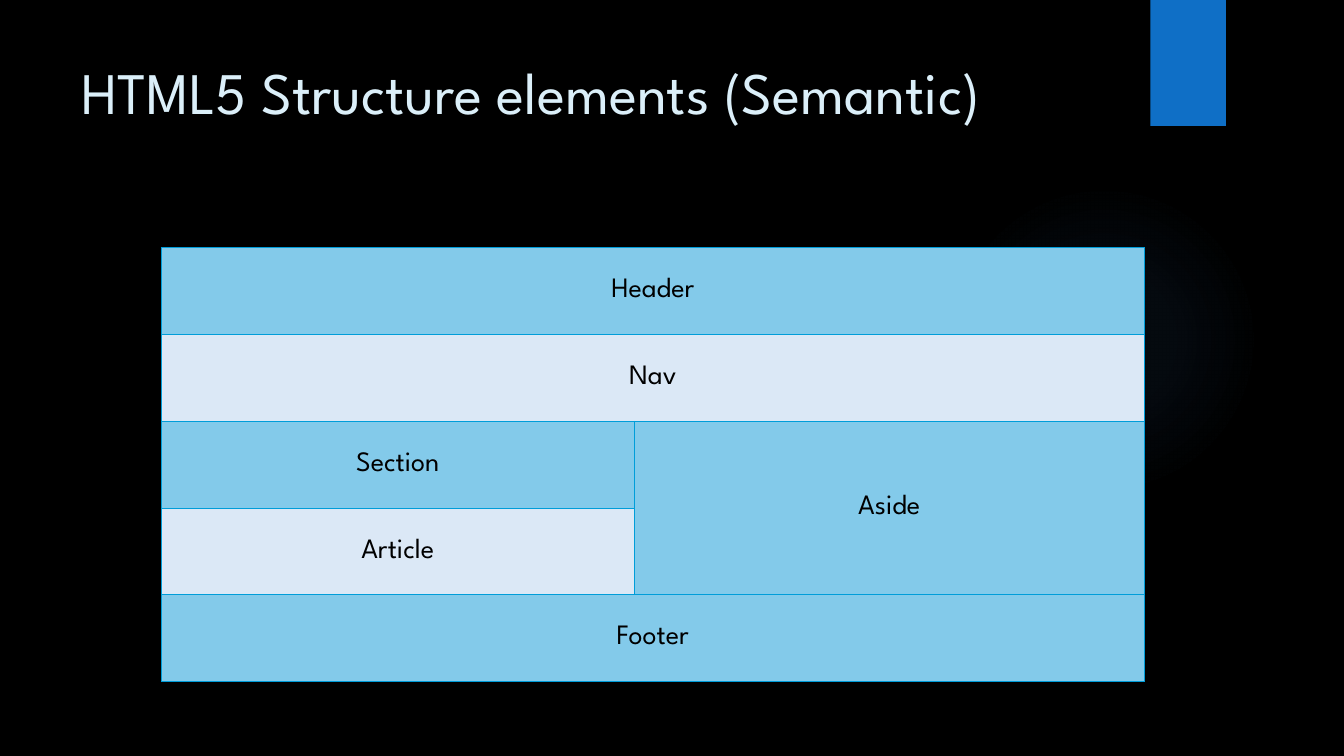
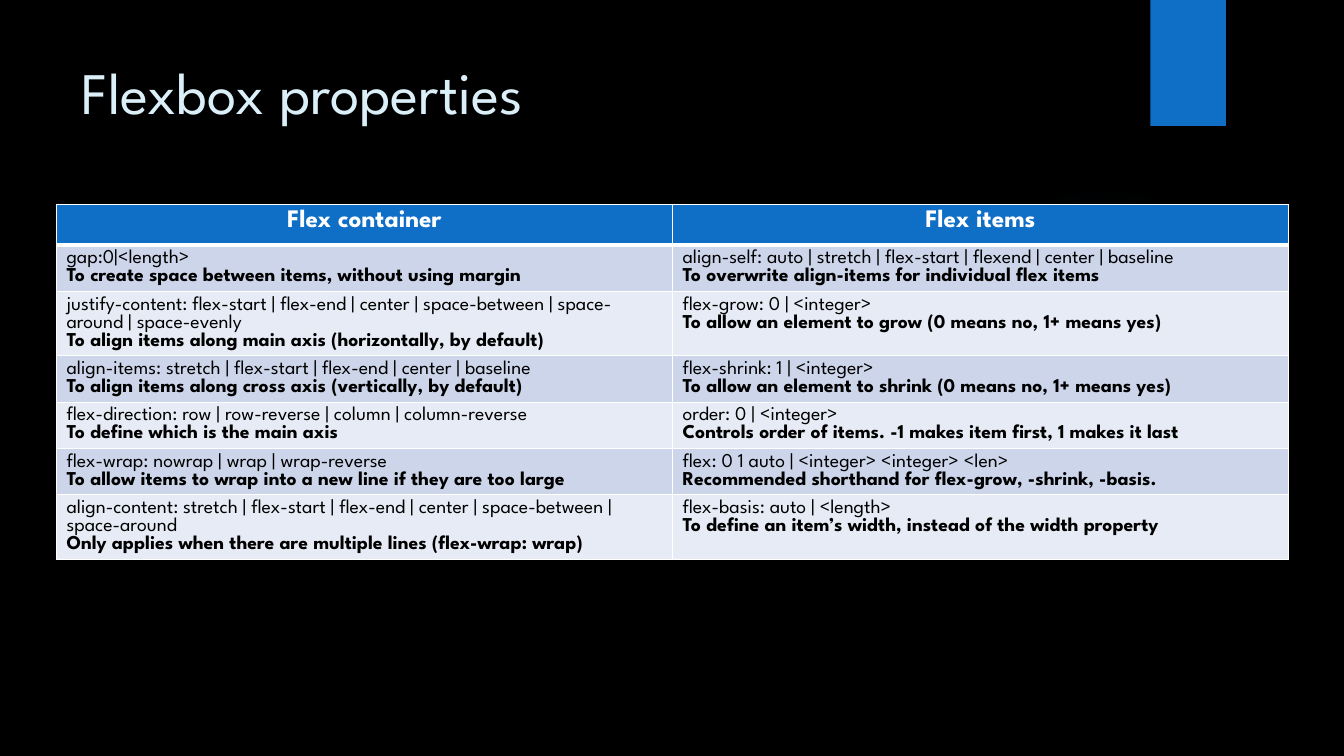
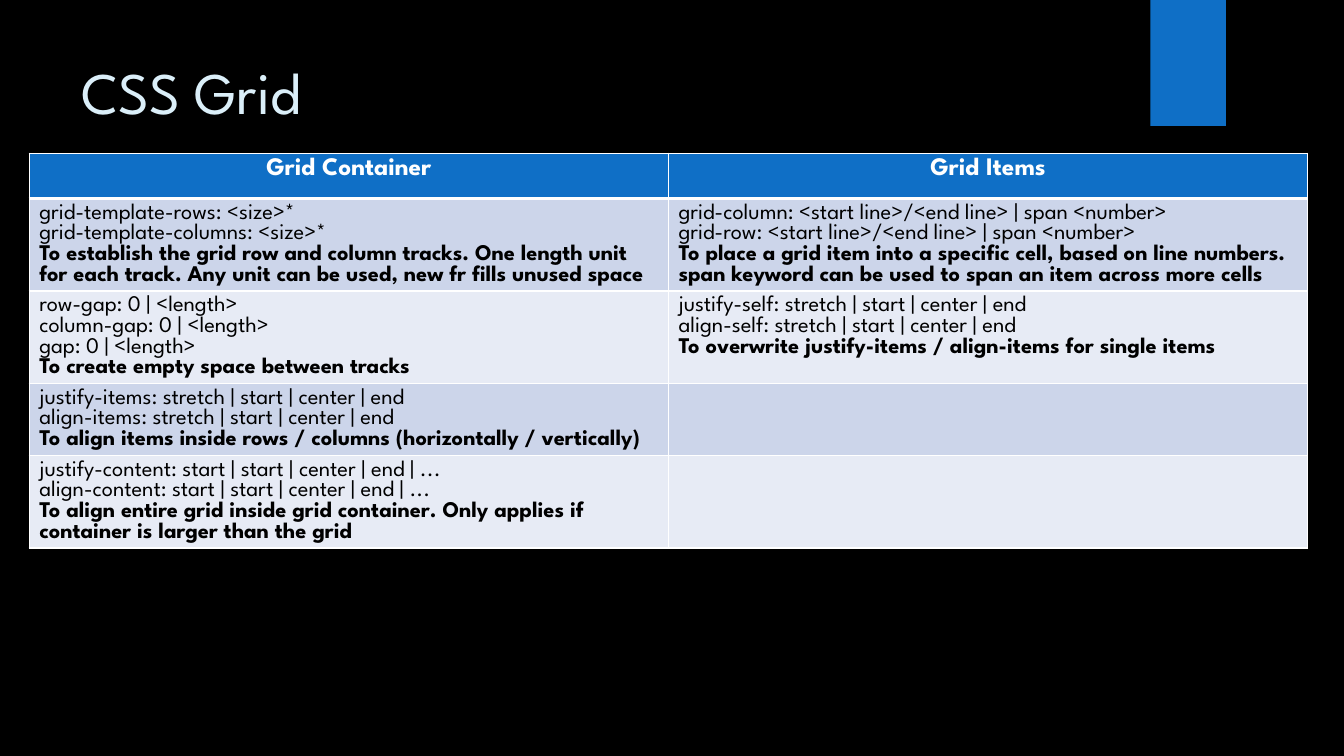
"""Build three slides on HTML5 structure, flexbox properties and CSS grid."""
from lxml import etree
from pptx import Presentation
from pptx.dml.color import RGBColor
from pptx.enum.shapes import MSO_SHAPE
from pptx.enum.text import MSO_ANCHOR, PP_ALIGN
from pptx.oxml import parse_xml
from pptx.oxml.ns import nsdecls, qn
from pptx.util import Inches, Pt

FONT = "League Spartan"
LINE_HEIGHT = 0.92
COLORS = {
    "background": "000000", "title": "DBEFF9", "accent": "0F6FC6", "glow": "448AD7",
    "white": "FFFFFF", "text": "000000", "band_dark": "CCD5EA", "band_light": "E7EBF5",
    "region_dark": "83CAEA", "region_light": "DBE8F6", "region_line": "009DD9",
}
GLOW_STOPS = [(0, 7), (36, 6), (69, 0)]

REGIONS = [
    ("Header", (0, 0), (0, 1), "region_dark"),
    ("Nav", (1, 0), (1, 1), "region_light"),
    ("Section", (2, 0), (2, 0), "region_dark"),
    ("Aside", (2, 1), (3, 1), "region_dark"),
    ("Article", (3, 0), (3, 0), "region_light"),
    ("Footer", (4, 0), (4, 1), "region_dark"),
]

FLEX_ROWS = [
    ("Flex container", "Flex items"),
    ("gap:0|<length>\nTo create space between items, without using margin",
     "align-self: auto | stretch | flex-start | flexend | center | baseline\n"
     "To overwrite align-items for individual flex items"),
    ("justify-content: flex-start | flex-end | center | space-between | space-around | space-evenly\n"
     "To align items along main axis (horizontally, by default)",
     "flex-grow: 0 | <integer>\nTo allow an element to grow (0 means no, 1+ means yes)"),
    ("align-items: stretch | flex-start | flex-end | center | baseline\n"
     "To align items along cross axis (vertically, by default)",
     "flex-shrink: 1 | <integer>\nTo allow an element to shrink (0 means no, 1+ means yes)"),
    ("flex-direction: row | row-reverse | column | column-reverse\nTo define which is the main axis",
     "order: 0 | <integer>\nControls order of items. -1 makes item first, 1 makes it last"),
    ("flex-wrap: nowrap | wrap | wrap-reverse\n"
     "To allow items to wrap into a new line if they are too large",
     "flex: 0 1 auto | <integer> <integer> <len>\n"
     "Recommended shorthand for flex-grow, -shrink, -basis."),
    ("align-content: stretch | flex-start | flex-end | center | space-between | space-around\n"
     "Only applies when there are multiple lines (flex-wrap: wrap)",
     "flex-basis: auto | <length>\nTo define an item’s width, instead of the width property"),
]

GRID_ROWS = [
    ("Grid Container", "Grid Items"),
    ("grid-template-rows: <size>*\ngrid-template-columns: <size>*\n"
     "To establish the grid row and column tracks. One length unit for each track. "
     "Any unit can be used, new fr fills unused space",
     "grid-column: <start line>/<end line> | span <number>\n"
     "grid-row: <start line>/<end line> | span <number>\n"
     "To place a grid item into a specific cell, based on line numbers. "
     "span keyword can be used to span an item across more cells"),
    ("row-gap: 0 | <length>\ncolumn-gap: 0 | <length>\ngap: 0 | <length>\n"
     "To create empty space between tracks",
     "justify-self: stretch | start | center | end\nalign-self: stretch | start | center | end\n"
     "To overwrite justify-items / align-items for single items"),
    ("justify-items: stretch | start | center | end\nalign-items: stretch | start | center | end\n"
     "To align items inside rows / columns (horizontally / vertically)", ""),
    ("justify-content: start | start | center | end | ...\n"
     "align-content: start | start | center | end | ...\n"
     "To align entire grid inside grid container. Only applies if container is larger than the grid", ""),
]

PROPERTY_TABLES = [
    (FLEX_ROWS, 0.56, 2.03, 6.11, [0.4, 0.46, 0.64, 0.46, 0.46, 0.46, 0.64], 14),
    (GRID_ROWS, 0.29, 1.52, 6.34, [0.45, 0.91, 0.91, 0.71, 0.91], 16),
]


def add_plain_table(slide, left, top, widths, heights, line_color, line_width):
    """Add a table without banding whose cells all have the same border."""
    frame = slide.shapes.add_table(len(heights), len(widths), Inches(left), Inches(top),
                                   Inches(sum(widths)), Inches(sum(heights)))
    table = frame.table
    table.first_row = table.horz_banding = False
    for column, width in zip(table.columns, widths):
        column.width = Inches(width)
    for row, height in zip(table.rows, heights):
        row.height = Inches(height)
    for cell in table.iter_cells():
        properties = cell._tc.get_or_add_tcPr()
        for side in ("lnL", "lnR", "lnT", "lnB"):
            line = etree.SubElement(properties, qn(f"a:{side}"), w=str(Pt(line_width)))
            fill = etree.SubElement(line, qn("a:solidFill"))
            etree.SubElement(fill, qn("a:srgbClr"), val=COLORS[line_color])
    return table


def format_text(text_frame, size, color, bold=False, align=PP_ALIGN.LEFT):
    """Give every run in the frame the same look."""
    for para in text_frame.paragraphs:
        para.alignment = align
        for span in para.runs:
            span.font.name = FONT
            span.font.size = Pt(size)
            span.font.bold = bold
            span.font.color.rgb = RGBColor.from_string(COLORS[color])


deck = Presentation()
deck.slide_width = Inches(13.33)
deck.slide_height = Inches(7.5)

slides = []
for title in ("HTML5 Structure elements (Semantic)", "Flexbox properties", "CSS Grid"):
    page = deck.slides.add_slide(deck.slide_layouts[6])
    page.background.fill.solid()
    page.background.fill.fore_color.rgb = RGBColor.from_string(COLORS["background"])

    glow = page.shapes.add_shape(MSO_SHAPE.OVAL, Inches(9.41), Inches(1.83), Inches(3.08), Inches(3.08))
    glow.shadow.inherit = False
    glow.line.fill.background()
    stops = "".join(
        f'<a:gs pos="{position * 1000}"><a:srgbClr val="{COLORS["glow"]}">'
        f'<a:alpha val="{alpha * 1000}"/></a:srgbClr></a:gs>' for position, alpha in GLOW_STOPS)
    gradient = parse_xml(
        f'<a:gradFill {nsdecls("a")}><a:gsLst>{stops}</a:gsLst><a:path path="circle">'
        '<a:fillToRect l="50000" t="50000" r="50000" b="50000"/></a:path></a:gradFill>')
    glow._element.spPr.find(qn("a:prstGeom")).addnext(gradient)

    ribbon = page.shapes.add_shape(MSO_SHAPE.RECTANGLE, Inches(11.41), 0, Inches(0.75), Inches(1.25))
    ribbon.shadow.inherit = False
    ribbon.fill.solid()
    ribbon.fill.fore_color.rgb = RGBColor.from_string(COLORS["accent"])
    ribbon.line.fill.background()

    box = page.shapes.add_textbox(Inches(0.71), Inches(0.5), Inches(10.29), Inches(1.53))
    box.text_frame.word_wrap = True
    box.text_frame.text = title
    format_text(box.text_frame, 42, "title")
    slides.append(page)

layout_table = add_plain_table(slides[0], 1.6, 2.46, [4.69, 5.06], [0.86] * 5, "region_line", 0.75)
for name, first, last, color in REGIONS:
    cell = layout_table.cell(*first)
    if first != last:
        cell.merge(layout_table.cell(*last))
    cell.fill.solid()
    cell.fill.fore_color.rgb = RGBColor.from_string(COLORS[color])
    cell.vertical_anchor = MSO_ANCHOR.MIDDLE
    cell.text_frame.text = name
    format_text(cell.text_frame, 20, "text", align=PP_ALIGN.CENTER)

for page, (rows, left, top, width, heights, size) in zip(slides[1:], PROPERTY_TABLES):
    table = add_plain_table(page, left, top, [width] * 2, heights, "white", 1)
    for row_index, texts in enumerate(rows):
        is_header = row_index == 0
        band = "accent" if is_header else "band_dark" if row_index % 2 else "band_light"
        for column_index, text in enumerate(texts):
            cell = table.cell(row_index, column_index)
            cell.fill.solid()
            cell.fill.fore_color.rgb = RGBColor.from_string(COLORS[band])
            cell.text_frame.text = text
            if is_header:
                format_text(cell.text_frame, 18, "white", True, PP_ALIGN.CENTER)
                cell._tc.tcPr.find(qn("a:lnB")).set("w", str(Pt(3)))
                below = table.cell(1, column_index)
                below._tc.tcPr.find(qn("a:lnT")).set("w", str(Pt(3)))
            else:
                format_text(cell.text_frame, size, "text")
                for para in cell.text_frame.paragraphs:
                    para.line_spacing = Pt(size * LINE_HEIGHT)
                for span in cell.text_frame.paragraphs[-1].runs:
                    span.font.bold = True

deck.save("out.pptx")
